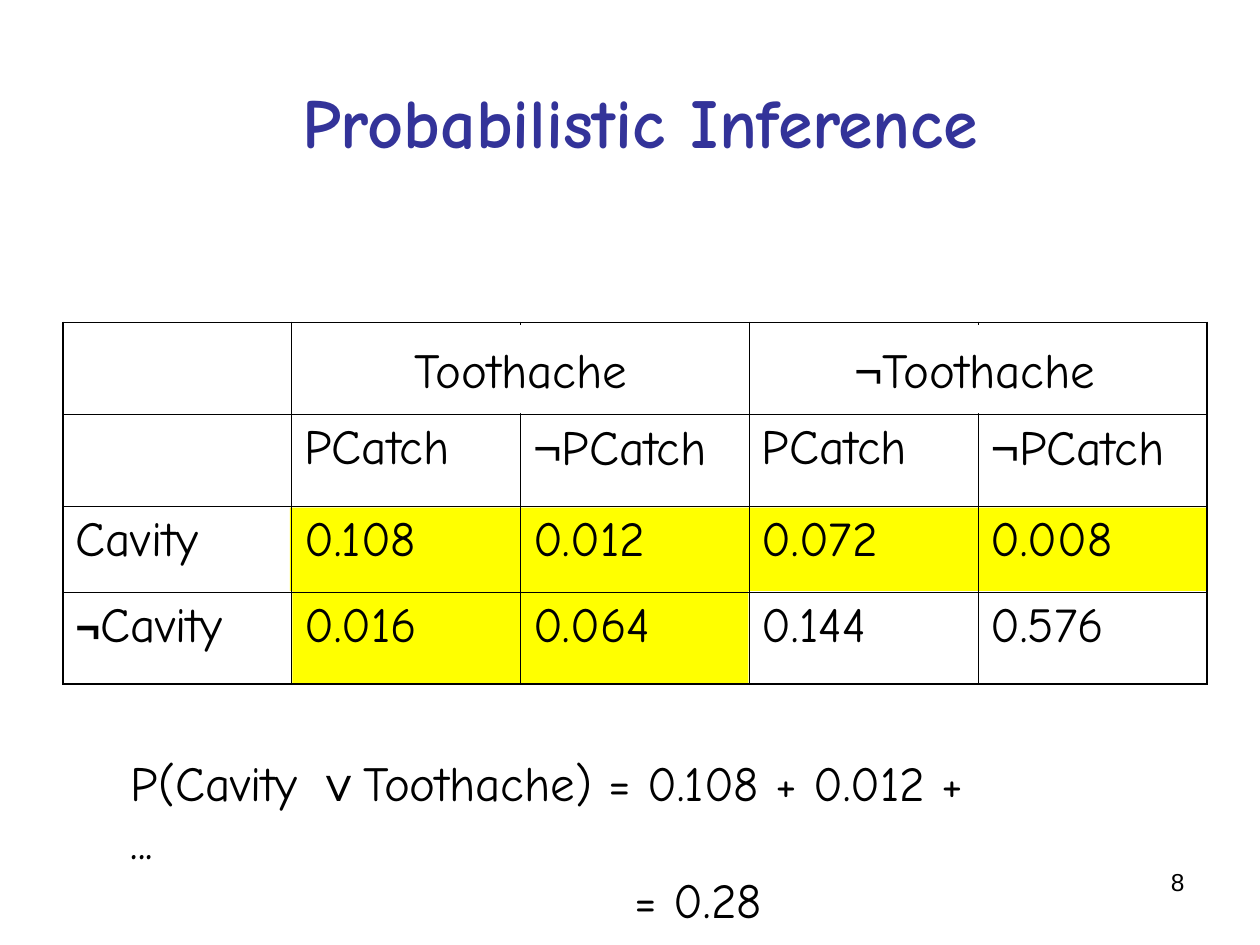
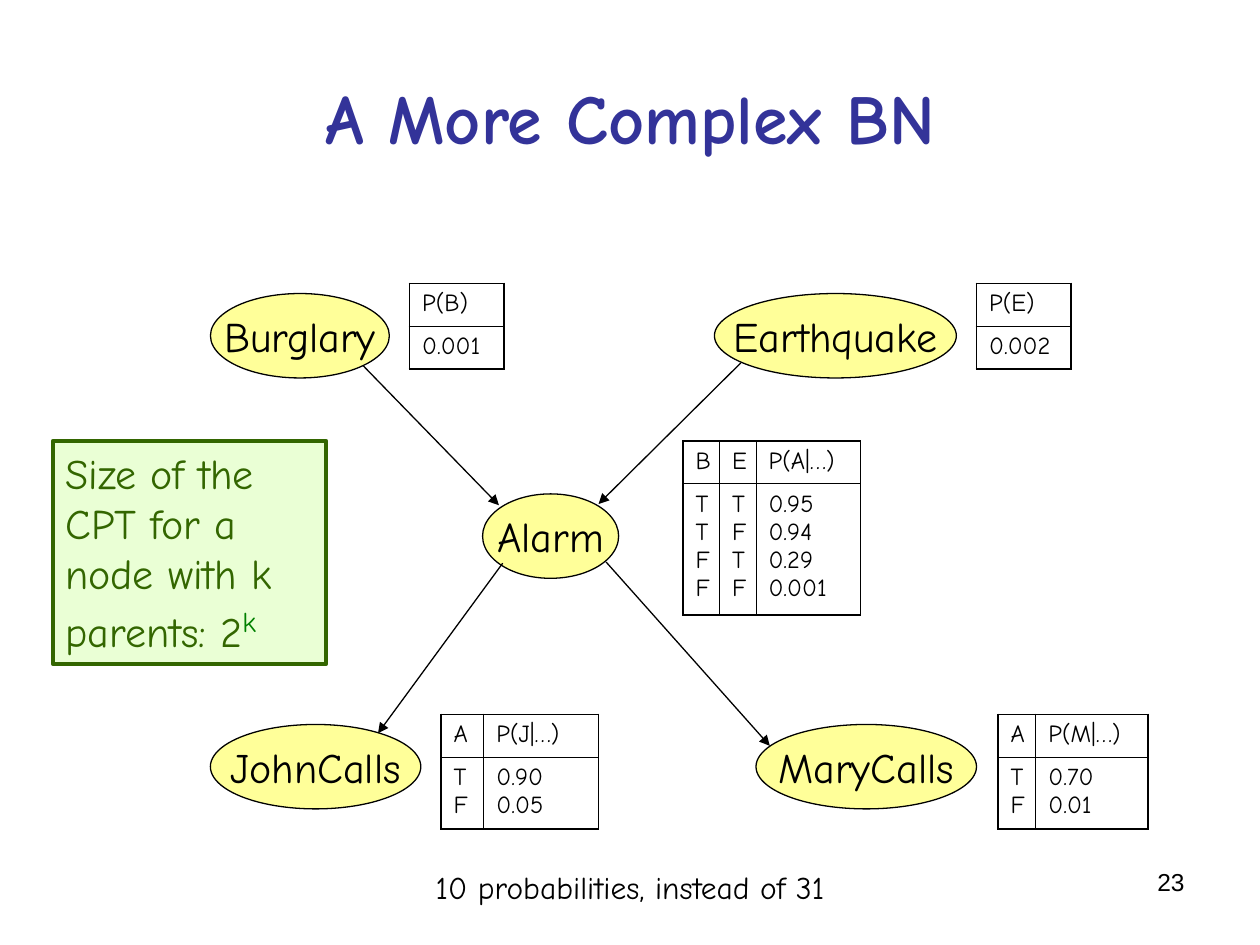
from dataclasses import dataclass
from itertools import groupby

from lxml import etree
from pptx import Presentation
from pptx.dml.color import RGBColor
from pptx.enum.shapes import MSO_CONNECTOR, MSO_SHAPE
from pptx.enum.text import MSO_ANCHOR, MSO_AUTO_SIZE, PP_ALIGN
from pptx.oxml.ns import qn
from pptx.util import Inches, Pt

RECT, OVAL = MSO_SHAPE.RECTANGLE, MSO_SHAPE.OVAL
LINE = MSO_CONNECTOR.STRAIGHT
TOP, MIDDLE = MSO_ANCHOR.TOP, MSO_ANCHOR.MIDDLE
LEFT, CENTER, RIGHT = PP_ALIGN.LEFT, PP_ALIGN.CENTER, PP_ALIGN.RIGHT
FIXED = MSO_AUTO_SIZE.NONE
LAYOUT = 5
SIGNS = "¬∨"
BREAK = "\v"
NARROW = 0.5


@dataclass(frozen=True)
class Theme:
    """Hold the colours, fonts, type sizes and line widths of the deck."""
    ink: str = "000000"
    paper: str = "FFFFFF"
    title: str = "333399"
    mark: str = "FFFF00"
    node: str = "FFFF99"
    note: str = "EAFFD5"
    leaf: str = "336600"
    power: str = "008000"
    font: str = "Comic Neue"
    plain: str = "Arial"
    head: int = 40
    body: int = 28
    label: int = 24
    foot: int = 18
    small: int = 14
    thin: float = 0.45
    edge: float = 0.75
    frame: float = 1.08
    bold: float = 2.25


THEME = Theme()


def color(code):
    """Turn a hex code into a colour."""
    return RGBColor.from_string(code)


def inches(box):
    """Turn the numbers of a box into lengths."""
    return [Inches(part) for part in box]


def inside(box, left, top, *size):
    """Shift a place that is relative to the box onto the slide."""
    return (box[0] + left, box[1] + top, *size)


def write(para, text, size, ink=THEME.ink, font=THEME.font, align=LEFT,
          bold=False, sign=None):
    """Write one paragraph, with logic signs set in the plain font."""
    para.alignment = align
    para.font.name, para.font.size, para.font.bold = font, Pt(size), bold
    para.font.color.rgb = color(ink)
    for kind, part in groupby(text, lambda c: c if c in SIGNS + BREAK else ""):
        if kind == BREAK:
            para.add_line_break()
            continue
        run = para.add_run()
        run.text = "".join(part)
        if kind:
            run.font.name = THEME.plain
            for key, value in (sign or {}).items():
                setattr(run.font, key, value)


def add_text(slide, box, text, size, **style):
    """Add a text box and return its frame."""
    frame = slide.shapes.add_textbox(*inches(box)).text_frame
    frame.word_wrap = True
    write(frame.paragraphs[0], text, size, **style)
    return frame


def add_block(slide, kind, box, fill, line=None, width=THEME.edge):
    """Add a filled shape and return it."""
    shape = slide.shapes.add_shape(kind, *inches(box))
    shape.shadow.inherit = False
    shape.fill.solid()
    shape.fill.fore_color.rgb = color(fill)
    if line:
        shape.line.color.rgb = color(line)
        shape.line.width = Pt(width)
    else:
        shape.line.fill.background()
    return shape


def add_label(slide, kind, box, text, size, fill, line=None):
    """Add a shape with one centred line of text."""
    frame = add_block(slide, kind, box, fill, line).text_frame
    frame.word_wrap = False
    frame.vertical_anchor = MIDDLE
    write(frame.paragraphs[0], text, size, align=CENTER)


def add_arrow(slide, start, end):
    """Add a line with an arrowhead at its end."""
    arrow = slide.shapes.add_connector(LINE, *inches(start + end))
    arrow.line.color.rgb = color(THEME.ink)
    arrow.line.width = Pt(THEME.edge)
    etree.SubElement(arrow.line._get_or_add_ln(), qn("a:tailEnd"), type="triangle")
    etree.SubElement(arrow._element.spPr, qn("a:effectLst"))


def rule_cell(cell, outer):
    """Draw the four borders of a cell, heavy on the outer sides."""
    props = cell._tc.get_or_add_tcPr()
    for spot, side in enumerate("LRTB"):
        width = THEME.frame if side in outer else THEME.thin
        line = etree.Element(qn("a:ln" + side), w=str(int(Pt(width))))
        fill = etree.SubElement(line, qn("a:solidFill"))
        etree.SubElement(fill, qn("a:srgbClr"), val=THEME.ink)
        props.insert(spot, line)


def add_grid(slide, spot, cols, rows, texts, size, sign=None):
    """Add a clear table with a heavy frame and thin inner rules."""
    box = (*spot, sum(cols), sum(rows))
    table = slide.shapes.add_table(len(rows), len(cols), *inches(box)).table
    table.first_row = table.horz_banding = False
    for col, width in zip(table.columns, cols):
        col.width = Inches(width)
    for y, (height, line) in enumerate(zip(rows, texts)):
        table.rows[y].height = Inches(height)
        for x, text in enumerate(line):
            cell = table.cell(y, x)
            cell.fill.background()
            if cols[x] < NARROW:
                cell.margin_right = 0
            sides = {"L": x == 0, "R": x == len(cols) - 1,
                     "T": y == 0, "B": y == len(rows) - 1}
            rule_cell(cell, [side for side, out in sides.items() if out])
            bold = sign if x == 0 else None
            write(cell.text_frame.paragraphs[0], text, size, sign=bold)


def start_slide(deck, title, box, number):
    """Add a slide with its title and page number."""
    slide = deck.slides.add_slide(deck.slide_layouts[LAYOUT])
    head = slide.shapes.title
    head.left, head.top, head.width, head.height = inches(box)
    frame = head.text_frame
    frame.auto_size = FIXED
    frame.vertical_anchor = MIDDLE
    write(frame.paragraphs[0], title, THEME.head, THEME.title,
          align=CENTER, bold=True)
    add_text(slide, (7.17, 6.83, 2.33, 0.52), number, THEME.small,
             font=THEME.plain, align=RIGHT)
    return slide


def joint_table(slide, box):
    """Draw the joint table with its marked cells and wide heads."""
    col = box[2] / 5
    for place in [(1.8, 1.47, 7.28, 0.66), (1.82, 1.49, 3.62, 1.37)]:
        add_block(slide, RECT, inside(box, *place), THEME.mark)
    texts = [
        [""] * 5,
        ["", "PCatch", "¬PCatch", "PCatch", "¬PCatch"],
        ["Cavity", "0.108", "0.012", "0.072", "0.008"],
        ["¬Cavity", "0.016", "0.064", "0.144", "0.576"],
    ]
    add_grid(slide, box[:2], [col] * 5, [0.73, 0.73, 0.68, 0.73], texts,
             THEME.body, sign={"bold": True, "size": Pt(THEME.label)})
    for left, text in [(1.92, "Toothache"), (5.52, "¬Toothache")]:
        add_label(slide, RECT, inside(box, left, 0.02, 3.43, 0.7), text,
                  THEME.body, THEME.paper)


def sum_lines(slide, box):
    """Write the sum and its indented result."""
    frame = add_text(slide, box, "P(Cavity ∨Toothache) = 0.108 + 0.012 + ...",
                     THEME.body, sign={"bold": True})
    para = frame.add_paragraph()
    para._p.get_or_add_pPr().set("marL", str(Inches(4)))
    write(para, "= 0.28", THEME.body)


def network(slide, box):
    """Draw the nodes, arrows and tables of the network."""
    nodes = [
        ("Burglary", 0, 0.08, 1.42), ("Earthquake", 4, 0.08, 1.92),
        ("Alarm", 2.16, 1.67, 1.08), ("MaryCalls", 4.33, 3.5, 1.75),
        ("JohnCalls", 0, 3.5, 1.67),
    ]
    for text, left, top, width in nodes:
        add_label(slide, OVAL, inside(box, left, top, width, 0.67), text,
                  THEME.label, THEME.node, THEME.ink)
    arrows = [
        ((1.21, 0.65), (2.29, 1.76)), ((4.21, 0.63), (3.08, 1.75)),
        ((2.32, 2.22), (1.33, 3.57)), ((3.14, 2.21), (4.44, 3.67)),
    ]
    for start, end in arrows:
        add_arrow(slide, inside(box, *start), inside(box, *end))
    grids = [
        (1.58, 0, [0.75], 0.34, ["P(B)"], ["0.001"]),
        (6.08, 0, [0.75], 0.34, ["P(E)"], ["0.002"]),
        (3.75, 1.25, [0.29, 0.29, 0.83], 1.04, ["B", "E", "P(A|…)"],
         ["T\vT\vF\vF", "T\vF\vT\vF", "0.95\v0.94\v0.29\v0.001"]),
        (1.83, 3.42, [0.34, 0.91], 0.57, ["A", "P(J|…)"],
         ["T\vF", "0.90\v0.05"]),
        (6.25, 3.42, [0.3, 0.89], 0.57, ["A", "P(M|…)"],
         ["T\vF", "0.70\v0.01"]),
    ]
    for left, top, cols, depth, *texts in grids:
        add_grid(slide, inside(box, left, top), cols, [0.34, depth], texts,
                 THEME.small)


def size_note(slide, box):
    """Draw the green note on table size."""
    frame = add_block(slide, RECT, box, THEME.note, THEME.leaf,
                      THEME.bold).text_frame
    frame.word_wrap = True
    frame.vertical_anchor = TOP
    para = frame.paragraphs[0]
    write(para, "Size of the CPT for a\vnode with k parents: 2",
          THEME.label, THEME.leaf)
    power = para.add_run()
    power.text = "k"
    power.font.size = Pt(THEME.body)
    power.font.color.rgb = color(THEME.power)
    power._r.get_or_add_rPr().set("baseline", "30000")


def main():
    """Build both slides and save the deck."""
    deck = Presentation()
    deck.slide_width, deck.slide_height = Inches(10), Inches(7.5)

    slide = start_slide(deck, "Probabilistic Inference",
                        (0.33, 0.33, 9.5, 1.25), "8")
    joint_table(slide, (0.5, 2.56, 9.08, 2.87))
    sum_lines(slide, (0.94, 5.92, 6.9, 1.04))

    slide = start_slide(deck, "A More Complex BN", (0.5, 0.3, 9, 1.25), "23")
    network(slide, (1.67, 2.25, 7.44, 4.32))
    size_note(slide, (0.42, 3.5, 2.17, 1.77))
    add_text(slide, (3.36, 6.84, 3.3, 0.4), "10 probabilities, instead of 31",
             THEME.foot)
    deck.save("out.pptx")


if __name__ == "__main__":
    main()
